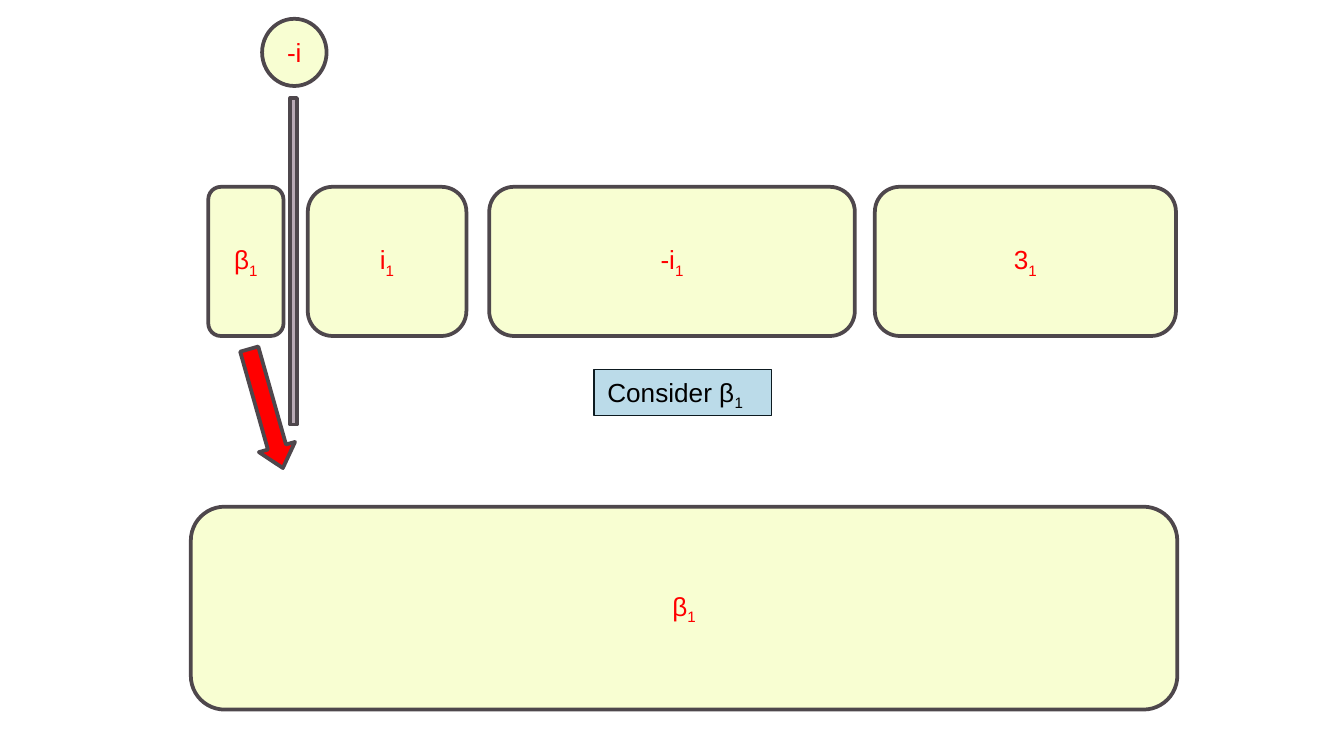
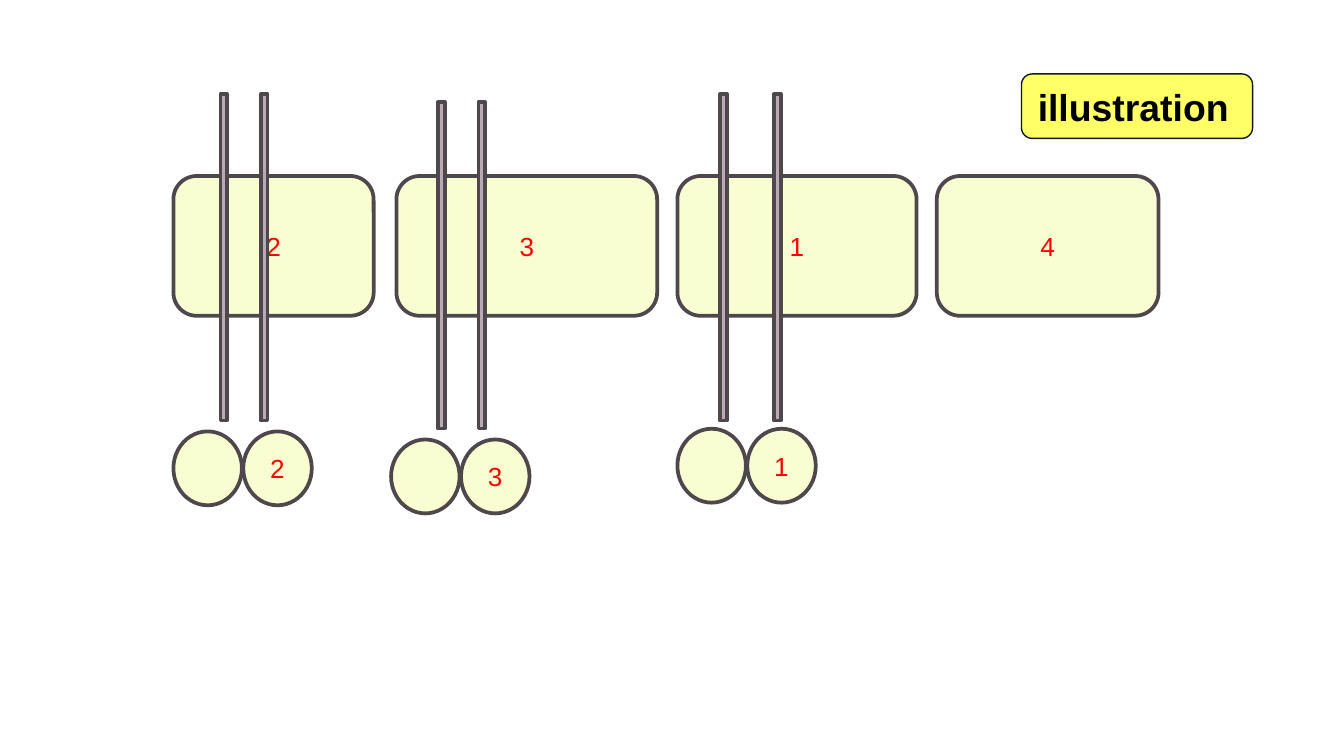
from pptx import Presentation
from pptx.dml.color import RGBColor
from pptx.enum.shapes import MSO_SHAPE
from pptx.enum.text import MSO_ANCHOR, PP_ALIGN
from pptx.util import Inches, Pt

CREAM, MAUVE, RED = "F8FED2", "B9AAB5", "FF0000"
BLUE, YELLOW, BLACK = "BBDBE9", "FFFF66", "000000"
OUTLINE, THIN_OUTLINE = "4E474C", "0D1A20"
FONT = "Arial"
BAR_SIZE = (0.05, 2.43)

# An underscore in a label starts its subscript.
# Blocks: label, left, width
PERMUTATION = [("β_1", 1.55, 0.56), ("i_1", 2.29, 1.18),
               ("-i_1", 3.64, 2.72), ("3_1", 6.51, 2.24)]
EXAMPLE = [("2", 1.29, 1.49), ("3", 2.95, 1.94),
           ("1", 5.04, 1.78), ("4", 6.97, 1.65)]

# Cuts: label, lefts of the two bars, bar top, left of the circles, circle top
CUTS = [("2", (1.64, 1.94), 0.7, 1.29, 3.21),
        ("3", (3.26, 3.56), 0.76, 2.91, 3.27),
        ("1", (5.36, 5.76), 0.7, 5.04, 3.19)]
CIRCLE_SIZE = (0.51, 0.55)
CIRCLE_STEP = 0.52


def color(hex_code):
    return RGBColor.from_string(hex_code)


def write(shape, label, ink=RED, size=14, bold=False):
    para = shape.text_frame.paragraphs[0]
    base, _, subscript = label.partition("_")
    para.add_run().text = base
    if subscript:
        span = para.add_run()
        span.text = subscript
        span._r.get_or_add_rPr().set("baseline", "-25000")
    for span in para.runs:
        font = span.font
        font.name, font.size, font.bold = FONT, Pt(size), bold
        font.color.rgb = color(ink)
    return para


def add_figure(page, kind, left, top, width, height, fill,
               outline=OUTLINE, weight=2):
    shape = page.shapes.add_shape(
        kind, *(Inches(length) for length in (left, top, width, height)))
    shape.shadow.inherit = False
    shape.fill.solid()
    shape.fill.fore_color.rgb = color(fill)
    shape.line.color.rgb = color(outline)
    shape.line.width = Pt(weight)
    return shape


def add_node(page, kind, label, *place):
    """Cream shape with an optional centred red label."""
    node = add_figure(page, kind, *place, CREAM)
    if label:
        node.text_frame.word_wrap = False
        node.text_frame.vertical_anchor = MSO_ANCHOR.MIDDLE
        write(node, label).alignment = PP_ALIGN.CENTER


def add_blocks(page, blocks, top, height):
    for label, left, width in blocks:
        add_node(page, MSO_SHAPE.ROUNDED_RECTANGLE, label,
                 left, top, width, height)


def add_bar(page, left, top):
    add_figure(page, MSO_SHAPE.RECTANGLE, left, top, *BAR_SIZE, MAUVE)


def add_note(page, kind, label, place, fill, **text_style):
    """Thinly outlined box with black text at its top left."""
    note = add_figure(page, kind, *place, fill, THIN_OUTLINE, 0.75)
    note.text_frame.word_wrap = True
    note.text_frame.vertical_anchor = MSO_ANCHOR.TOP
    write(note, label, BLACK, **text_style).alignment = PP_ALIGN.LEFT


def build_consider_page(page):
    add_blocks(page, PERMUTATION[2:], 1.39, 1.11)
    add_note(page, MSO_SHAPE.RECTANGLE, "Consider β_1",
             (4.42, 2.75, 1.32, 0.34), BLUE)
    add_bar(page, 2.16, 0.73)
    add_node(page, MSO_SHAPE.OVAL, "-i", 1.95, 0.14, 0.48, 0.5)
    add_blocks(page, PERMUTATION[:2], 1.39, 1.11)
    add_blocks(page, [("β_1", 1.42, 7.34)], 3.77, 1.51)
    arrow = add_figure(page, MSO_SHAPE.DOWN_ARROW, 1.84, 2.58, 0.28, 0.92, RED)
    arrow.adjustments[1] = 0.58
    arrow.rotation = 344.2


def build_illustration_page(page):
    add_blocks(page, EXAMPLE, 1.31, 1.04)
    add_note(page, MSO_SHAPE.ROUNDED_RECTANGLE, "illustration",
             (7.6, 0.55, 1.72, 0.48), YELLOW, size=20, bold=True)
    for label, bar_lefts, bar_top, circle_left, circle_top in CUTS:
        for left in bar_lefts:
            add_bar(page, left, bar_top)
        for column, text in enumerate(("", label)):
            add_node(page, MSO_SHAPE.OVAL, text,
                     circle_left + column * CIRCLE_STEP, circle_top,
                     *CIRCLE_SIZE)


def main():
    deck = Presentation()
    deck.slide_width = Inches(10)
    deck.slide_height = deck.slide_width * 9 // 16
    blank = deck.slide_layouts[6]
    for build in (build_consider_page, build_illustration_page):
        build(deck.slides.add_slide(blank))
    deck.save("out.pptx")


if __name__ == "__main__":
    main()
